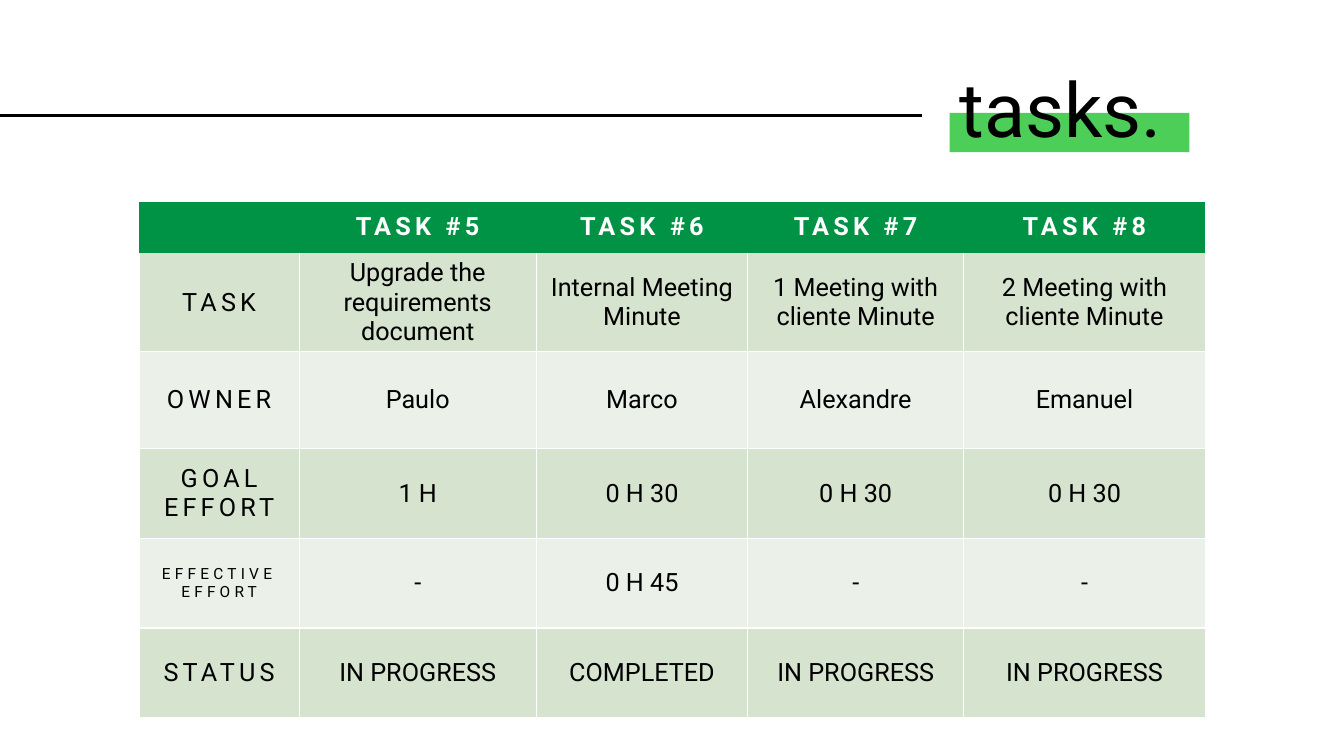
from lxml import etree
from pptx import Presentation
from pptx import util as u
from pptx.dml.color import RGBColor
from pptx.enum import shapes, text
from pptx.oxml.ns import qn

HEADER = ["", "TASK #5", "TASK #6", "TASK #7", "TASK #8"]
ROWS = [
    ["TASK", "Upgrade the requirements document", "Internal Meeting Minute",
     "1 Meeting with cliente Minute", "2 Meeting with cliente Minute"],
    ["OWNER", "Paulo", "Marco", "Alexandre", "Emanuel"],
    ["GOAL\nEFFORT", "1 H", "0 H 30", "0 H 30", "0 H 30"],
    ["EFFECTIVE EFFORT", "-", "0 H 45", "-", "-"],
    ["STATUS", "IN PROGRESS", "COMPLETED", "IN PROGRESS", "IN PROGRESS"],
]
COL_WIDTHS = [11.92, 17.63, 15.75, 16.05, 18]
ROW_HEIGHTS = [6.8, 11.87, 12.8, 11.87, 11.87, 11.87]


def rgb(hex_color):
    return RGBColor.from_string(hex_color)


def write(tf, content, size=18, color="000000", bold=False, spacing=0,
          align=text.PP_ALIGN.CENTER, line_spacing=None):
    for i, line in enumerate(content.split("\n")):
        p = tf.paragraphs[0] if i == 0 else tf.add_paragraph()
        p.alignment = align
        if line_spacing:
            p.line_spacing = line_spacing
        r = p.add_run()
        r.text = line
        r.font.name = "Roboto"
        r.font.size = u.Pt(size)
        r.font.bold = bold
        r.font.color.rgb = rgb(color)
        if spacing:
            r.font._element.set("spc", str(spacing * 100))


def set_borders(cell, visible, color="FFFFFF", width=1):
    tc_pr = cell._tc.get_or_add_tcPr()
    for i, side in enumerate("LRTB"):
        ln = etree.Element(qn("a:ln" + side), w=str(u.Pt(width)))
        if side in visible:
            fill = etree.SubElement(ln, qn("a:solidFill"))
            etree.SubElement(fill, qn("a:srgbClr"), val=color)
        else:
            etree.SubElement(ln, qn("a:noFill"))
        tc_pr.insert(i, ln)


class Deck:
    accent = "4DCE59"
    head = "009245"
    bands = ["D5E3CF", "EBF1E9"]

    def __init__(self):
        self.prs = Presentation()
        self.prs.slide_width = u.Inches(13.33)
        self.prs.slide_height = u.Inches(7.5)
        self.s = self.prs.slides.add_slide(self.prs.slide_layouts[6])

    def x(self, percent):
        return round(self.prs.slide_width * percent / 100)

    def y(self, percent):
        return round(self.prs.slide_height * percent / 100)

    def box(self, left, top, width, height):
        return self.x(left), self.y(top), self.x(width), self.y(height)

    def bar(self, *area):
        sp = self.s.shapes.add_shape(shapes.MSO_SHAPE.RECTANGLE, *self.box(*area))
        sp.shadow.inherit = False
        sp.fill.solid()
        sp.fill.fore_color.rgb = rgb(self.accent)
        sp.line.fill.background()

    def rule(self, start, end, top):
        ln = self.s.shapes.add_connector(
            shapes.MSO_CONNECTOR.STRAIGHT,
            self.x(start), self.y(top), self.x(end), self.y(top))
        ln.line.color.rgb = rgb("000000")
        ln.line.width = u.Pt(2.25)
        etree.SubElement(ln._element.spPr, qn("a:effectLst"))

    def title(self, content, *area):
        tf = self.s.shapes.add_textbox(*self.box(*area)).text_frame
        tf.word_wrap = True
        tf.vertical_anchor = text.MSO_ANCHOR.MIDDLE
        write(tf, content, size=54, align=text.PP_ALIGN.LEFT, line_spacing=0.9)

    def cell(self, cell, content, row, col):
        cell.fill.solid()
        cell.fill.fore_color.rgb = rgb(self.bands[(row - 1) % 2] if row else self.head)
        cell.vertical_anchor = text.MSO_ANCHOR.MIDDLE
        set_borders(cell, {0: "", 1: "LRB"}.get(row, "LRTB"))
        write(cell.text_frame, content,
              size=11 if content.startswith("EFFECTIVE") else 18,
              color="000000" if row else "FFFFFF",
              bold=row == 0,
              spacing=3 if row == 0 or col == 0 else 0)

    def table(self, left, top, widths, heights, rows):
        area = self.box(left, top, sum(widths), sum(heights))
        tbl = self.s.shapes.add_table(len(heights), len(widths), *area).table
        for column, width in zip(tbl.columns, widths):
            column.width = self.x(width)
        for i, (height, values) in enumerate(zip(heights, rows)):
            tbl.rows[i].height = self.y(height)
            for j, value in enumerate(values):
                self.cell(tbl.cell(i, j), value, i, j)


def main():
    deck = Deck()
    deck.bar(70.65, 14.93, 17.85, 5.2)
    deck.table(10.35, 26.67, COL_WIDTHS, ROW_HEIGHTS, [HEADER] + ROWS)
    deck.rule(0, 68.63, 15.33)
    deck.title("tasks.", 70.65, 5.33, 22.43, 19.33)
    deck.prs.save("out.pptx")


if __name__ == "__main__":
    main()
